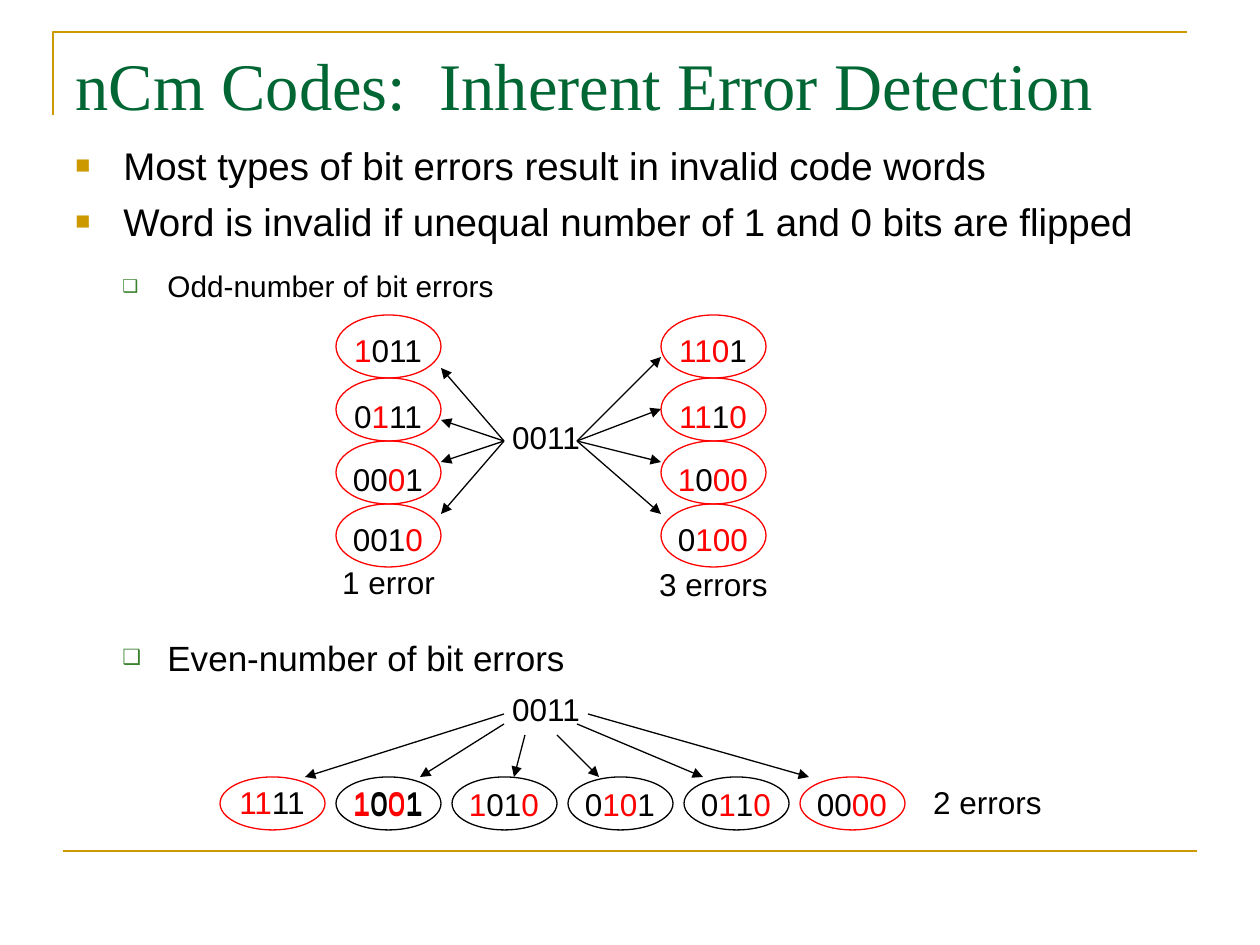
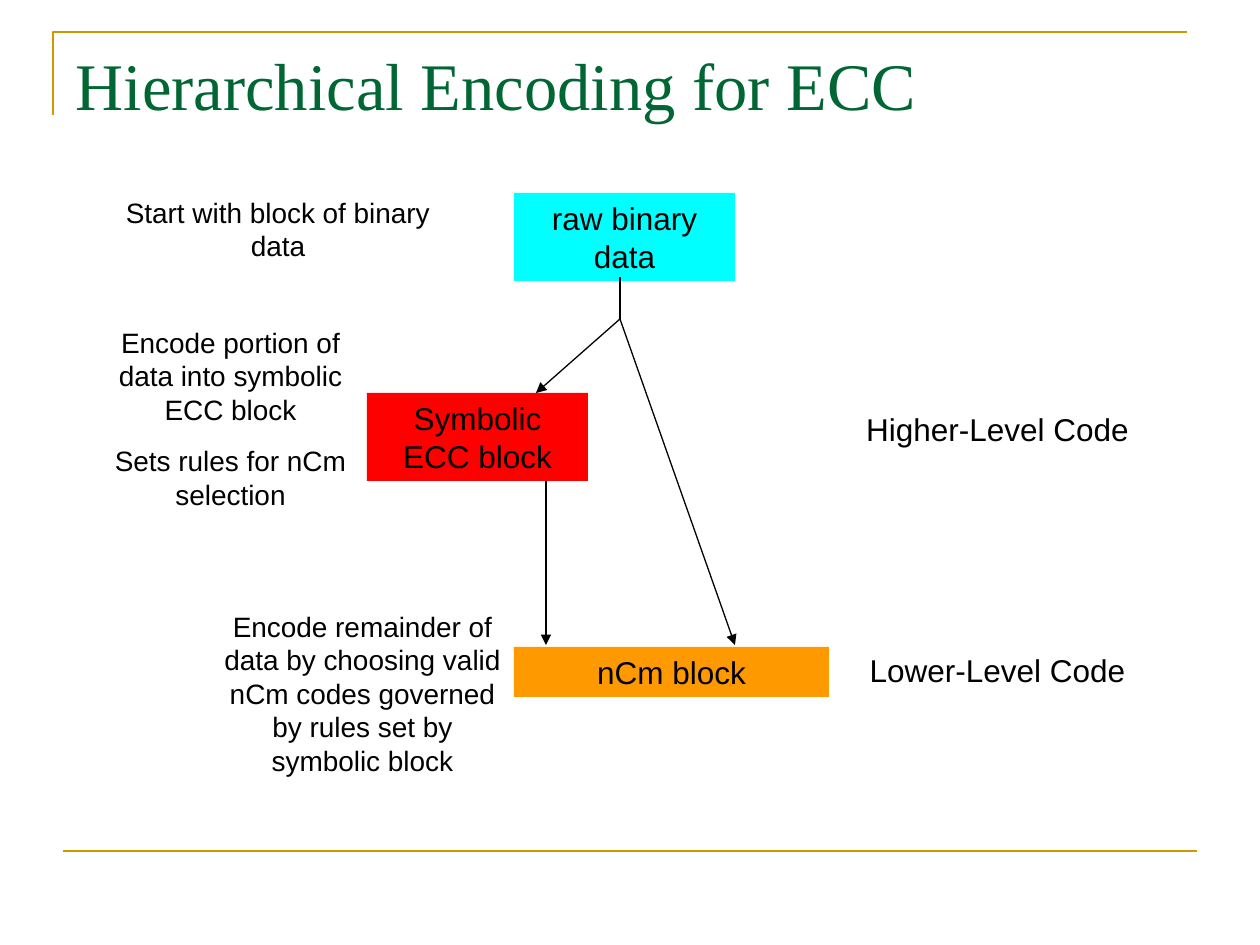
from dataclasses import dataclass
from itertools import groupby
from typing import NamedTuple

from lxml.etree import SubElement
from pptx import Presentation
from pptx.dml.color import RGBColor
from pptx.enum.shapes import MSO_CONNECTOR as Connector, MSO_SHAPE as Preset
from pptx.enum.text import MSO_ANCHOR as Anchor, MSO_AUTO_SIZE as AutoSize, PP_ALIGN as Align
from pptx.oxml.ns import qn
from pptx.util import Emu, Pt

PX_PER_INCH = 126
COLORS = {
    "gold": "CC9900", "title": "006633", "text": "000000", "flipped": "FF0000",
    "sub_bullet": "3B812F", "raw": "00FFFF", "symbolic": "FF0000", "ncm": "FF9900",
}
TITLE_ONLY = 5
CODE_WORD = "0011"
LABEL_HEIGHT = 50
ELLIPSE_WIDTH = 105
CODE_INSET = 11  # a code label starts this far left of its ellipse


class Box(NamedTuple):
    left: int
    top: int
    width: int
    height: int


class Point(NamedTuple):
    x: int
    y: int


class Run(NamedTuple):
    text: str
    color: str = "text"


@dataclass(frozen=True)
class Style:
    size: int
    space_before: float = 0
    align: Align = Align.LEFT
    font: str = "Arial"
    bullet: str = ""
    bullet_color: str = ""
    bullet_percent: int = 100
    indent: int = 0
    hanging: int = 0


TITLE = Style(38, font="Times New Roman")
LABEL = Style(18, 11.2, Align.CENTER)
NOTE = Style(16, 10, Align.CENTER)
POINT = Style(22, 5.5, bullet="■", bullet_color="gold", bullet_percent=65,
              indent=48, hanging=48)
SUB_BULLET = {"bullet": "❑", "bullet_color": "sub_bullet", "bullet_percent": 60,
              "indent": 92, "hanging": 45}
ODD_POINT = Style(17, 5, **SUB_BULLET)
EVEN_POINT = Style(20, 5, **SUB_BULLET)


@dataclass(frozen=True)
class Block:
    text: str
    box: Box
    color: str


@dataclass(frozen=True)
class Note:
    paragraphs: tuple[str, ...]
    box: Box
    style: Style = NOTE


@dataclass(frozen=True)
class ErrorColumn:
    left: int
    codes: tuple[str, ...]
    arrow_start: Point
    arrow_x: int
    arrow_ends: tuple[int, ...]
    caption: str
    caption_top: int


ERROR_COLUMNS = (
    ErrorColumn(336, ("1011", "0111", "0001", "0010"), Point(504, 441), 441,
                (368, 420, 462, 514), "1 error", 557),
    ErrorColumn(661, ("1101", "1110", "1000", "0100"), Point(577, 441), 661,
                (357, 409, 462, 514), "3 errors", 559),
)
COLUMN_LABEL_TOPS = (325, 391, 454, 514)

DOUBLE_ERRORS = ("1111", "1001", "1010", "0101", "0110", "0000")
DOUBLE_ERROR_ARROWS = (
    (Point(504, 714), 305), (Point(504, 724), 420), (Point(525, 735), 514),
    (Point(557, 735), 599), (Point(577, 724), 703), (Point(588, 714), 809),
)

BLOCKS = (
    Block("raw binary data", Box(514, 193, 221, 88), "raw"),
    Block("Symbolic ECC block", Box(367, 393, 221, 88), "symbolic"),
    Block("nCm block", Box(514, 647, 315, 50), "ncm"),
)
NOTES = (
    Note(("Start with block of binary data",), Box(84, 189, 388, 81)),
    Note(("Encode portion of data into symbolic ECC block",
          "Sets rules for nCm selection"), Box(94, 319, 273, 198)),
    Note(("Encode remainder of data by choosing valid nCm codes governed "
          "by rules set by symbolic block",), Box(210, 603, 305, 181)),
    Note(("Higher-Level Code",), Box(819, 404, 357, LABEL_HEIGHT), LABEL),
    Note(("Lower-Level Code",), Box(819, 645, 357, LABEL_HEIGHT), LABEL),
)


def px(length: int) -> Emu:
    return Emu(round(length * 914400 / PX_PER_INCH))


def rgb(name: str) -> RGBColor:
    return RGBColor.from_string(COLORS[name])


def set_all(target, values: dict) -> None:
    for name, value in values.items():
        setattr(target, name, value)


def place(shape, box: Box) -> None:
    set_all(shape, {side: px(length) for side, length in box._asdict().items()})


def add_bullet(paragraph, style: Style) -> None:
    properties = paragraph._p.get_or_add_pPr()
    properties.set("marL", str(px(style.indent)))
    properties.set("indent", str(-px(style.hanging)))
    color = SubElement(properties, qn("a:buClr"))
    SubElement(color, qn("a:srgbClr"), val=COLORS[style.bullet_color])
    SubElement(properties, qn("a:buSzPct"), val=str(style.bullet_percent * 1000))
    SubElement(properties, qn("a:buFont"), typeface=style.font)
    SubElement(properties, qn("a:buChar"), char=style.bullet)


def write(shape, paragraphs: list[list[Run]], style: Style) -> None:
    frame = shape.text_frame
    set_all(frame, {"word_wrap": True, "auto_size": AutoSize.NONE,
                    "vertical_anchor": Anchor.TOP})
    for index, runs in enumerate(paragraphs):
        paragraph = frame.add_paragraph() if index else frame.paragraphs[0]
        set_all(paragraph, {"alignment": style.align,
                            "space_before": Pt(style.space_before)})
        if style.bullet:
            add_bullet(paragraph, style)
        for text, color in runs:
            run = paragraph.add_run()
            run.text = text
            set_all(run.font, {"name": style.font, "size": Pt(style.size)})
            run.font.color.rgb = rgb(color)


def add_text(slide, box: Box, paragraphs: list[list[Run]], style: Style) -> None:
    write(slide.shapes.add_textbox(*map(px, box)), paragraphs, style)


def add_label(slide, left: int, top: int, width: int, text: str) -> None:
    add_text(slide, Box(left, top, width, LABEL_HEIGHT), [[Run(text)]], LABEL)


def add_line(slide, start: Point, end: Point, color: str = "text",
             width: float = 0.75, arrow: bool = True) -> None:
    line = slide.shapes.add_connector(Connector.STRAIGHT, *map(px, (*start, *end)))
    line.line.color.rgb = rgb(color)
    line.line.width = Pt(width)
    if arrow:
        SubElement(line.line._get_or_add_ln(), qn("a:tailEnd"), type="triangle")
    SubElement(line._element.spPr, qn("a:effectLst"))


def add_ellipse(slide, box: Box, color: str) -> None:
    ellipse = slide.shapes.add_shape(Preset.OVAL, *map(px, box))
    ellipse.shadow.inherit = False
    ellipse.fill.background()
    ellipse.line.color.rgb = rgb(color)
    ellipse.line.width = Pt(0.75)


def code_runs(code: str) -> list[Run]:
    """Split a received code into runs, marking the bits flipped from CODE_WORD."""
    pairs = groupby(zip(code, CODE_WORD), key=lambda pair: pair[0] != pair[1])
    return [Run("".join(bit for bit, _ in bits), "flipped" if flipped else "text")
            for flipped, bits in pairs]


def add_code(slide, ellipse_left: int, top: int, code: str) -> None:
    box = Box(ellipse_left - CODE_INSET, top, 126, LABEL_HEIGHT)
    add_text(slide, box, [code_runs(code)], LABEL)


def add_framed_slide(presentation, heading: str):
    """Add a slide with the gold frame, the bottom rule and the title."""
    slide = presentation.slides.add_slide(presentation.slide_layouts[TITLE_ONLY])
    builder = slide.shapes.build_freeform(px(53), px(115), scale=1.0)
    builder.add_line_segments([(px(53), px(32)), (px(1187), px(32))], close=False)
    corner = builder.convert_to_shape()
    corner.shadow.inherit = False
    corner.fill.background()
    corner.line.color.rgb = rgb("gold")
    corner.line.width = Pt(1.5)
    add_line(slide, Point(63, 851), Point(1197, 851), "gold", 1.5, arrow=False)
    title = slide.shapes.title
    place(title, Box(63, 38, 1134, 88))
    write(title, [[Run(heading, "title")]], TITLE)
    return slide


def draw_error_column(slide, column: ErrorColumn) -> None:
    for row, (code, top) in enumerate(zip(column.codes, COLUMN_LABEL_TOPS)):
        add_code(slide, column.left, top, code)
        add_ellipse(slide, Box(column.left, 315 + 63 * row, ELLIPSE_WIDTH, 63), "flipped")
    for y in column.arrow_ends:
        add_line(slide, column.arrow_start, Point(column.arrow_x, y))
    add_label(slide, column.left - 42, column.caption_top, 189, column.caption)


def draw_double_errors(slide) -> None:
    add_label(slide, 483, 684, 126, CODE_WORD)
    for index, code in enumerate(DOUBLE_ERRORS):
        left = 220 + 116 * index
        # 1001 carries two labels, one slightly below the other
        tops = {"1111": (777,), "1001": (777, 779)}.get(code, (779,))
        for top in tops:
            add_code(slide, left, top, code)
        valid = code.count("1") == CODE_WORD.count("1")
        add_ellipse(slide, Box(left, 777, ELLIPSE_WIDTH, 53), "text" if valid else "flipped")
    for start, x in DOUBLE_ERROR_ARROWS:
        add_line(slide, start, Point(x, 777))
    add_label(slide, 914, 777, 147, "2 errors")


def build_detection_slide(presentation) -> None:
    slide = add_framed_slide(presentation, "nCm Codes:  Inherent Error Detection")
    add_text(slide, Box(63, 136, 1134, 126), [
        [Run("Most types of bit errors result in invalid code words")],
        [Run("Word is invalid if unequal number of 1 and 0 bits are flipped")],
    ], POINT)
    add_text(slide, Box(63, 262, 1134, 53), [[Run("Odd-number of bit errors")]], ODD_POINT)
    add_label(slide, 483, 412, 126, CODE_WORD)
    for column in ERROR_COLUMNS:
        draw_error_column(slide, column)
    add_text(slide, Box(63, 630, 1134, 63), [[Run("Even-number of bit errors")]], EVEN_POINT)
    draw_double_errors(slide)


def build_encoding_slide(presentation) -> None:
    slide = add_framed_slide(presentation, "Hierarchical Encoding for ECC")
    for block in BLOCKS:
        shape = slide.shapes.add_shape(Preset.RECTANGLE, *map(px, block.box))
        shape.shadow.inherit = False
        shape.fill.solid()
        shape.fill.fore_color.rgb = rgb(block.color)
        shape.line.fill.background()
        write(shape, [[Run(block.text)]], LABEL)
    for note in NOTES:
        add_text(slide, note.box, [[Run(text)] for text in note.paragraphs], note.style)
    fork = Point(620, 319)
    add_line(slide, Point(620, 277), fork, arrow=False)
    add_line(slide, fork, Point(536, 393))
    add_line(slide, fork, Point(735, 645))
    add_line(slide, Point(546, 481), Point(546, 645))


def main() -> None:
    presentation = Presentation()
    set_all(presentation, {"slide_width": px(1260), "slide_height": px(945)})
    build_detection_slide(presentation)
    build_encoding_slide(presentation)
    presentation.save("out.pptx")


if __name__ == "__main__":
    main()
